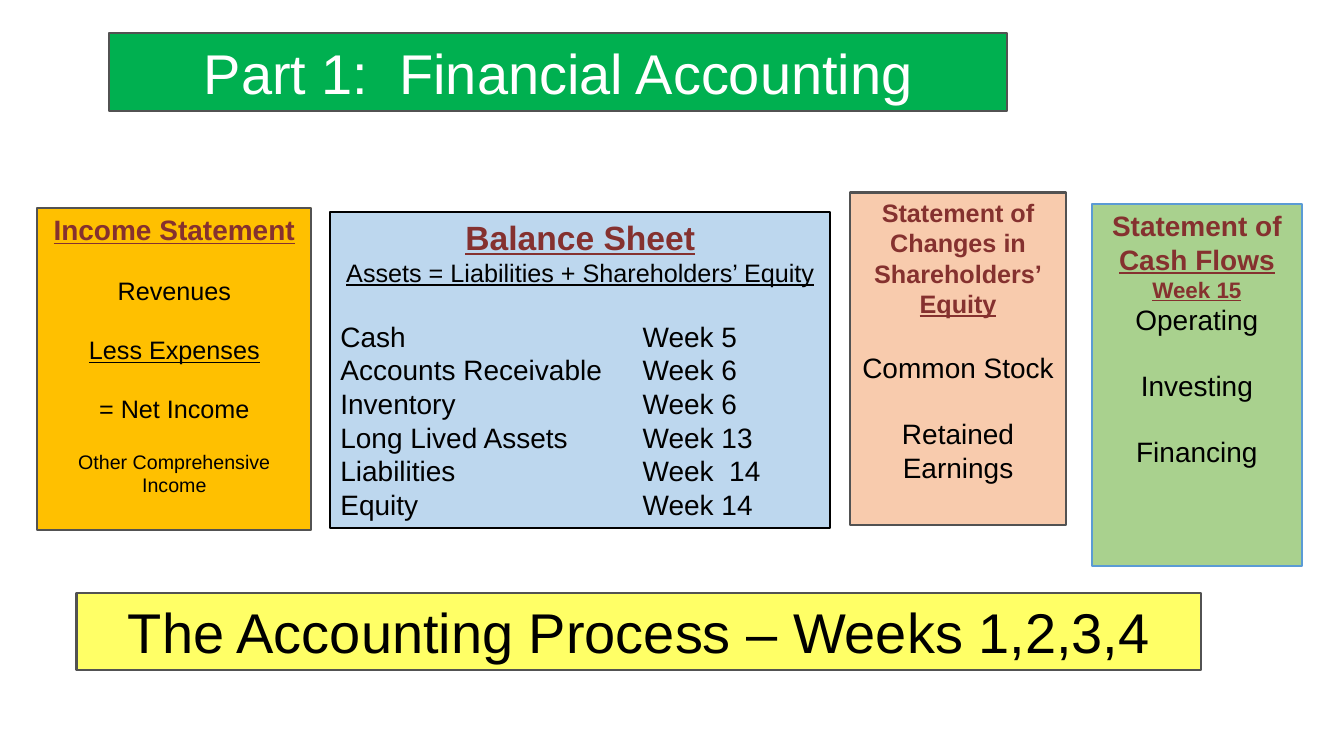
from dataclasses import dataclass

from lxml.etree import SubElement
from pptx import Presentation
from pptx.dml.color import RGBColor
from pptx.enum.shapes import MSO_SHAPE
from pptx.enum.text import MSO_ANCHOR, MSO_AUTO_SIZE, PP_ALIGN
from pptx.oxml.ns import qn
from pptx.util import Inches, Pt

BLACK, WHITE, GREY, MAROON = "000000", "FFFFFF", "525252", "85312F"
LINE = 1.15  # height of a text line, relative to its font size
WEEK_TAB = 3


@dataclass
class Line:
    text: str
    size: int
    color: str = BLACK
    bold: bool = False
    underline: bool = False
    gap: int = 0  # font size of the empty line above
    align: PP_ALIGN = PP_ALIGN.CENTER


@dataclass
class Box:
    left: float
    top: float
    width: float
    height: float
    fill: str
    lines: list[Line]
    border: str = GREY


def head(text: str, size: int, underline: bool = True) -> Line:
    return Line(text, size, MAROON, bold=True, underline=underline)


def rgb(color: str) -> RGBColor:
    return RGBColor.from_string(color)


def add_text(p, text: str, *, size: int, color: str, bold: bool, underline: bool) -> None:
    r = p.add_run()
    r.text = text
    font = r.font
    font.name, font.size = "Arial", Pt(size)
    font.bold, font.underline = bold, underline
    font.color.rgb = rgb(color)


def add_tab(p, position: float) -> None:
    tabs = SubElement(p._p.get_or_add_pPr(), qn("a:tabLst"))
    SubElement(tabs, qn("a:tab"), pos=str(Inches(position)), algn="l")


def draw_box(sp, box: Box) -> None:
    sp.left, sp.top = Inches(box.left), Inches(box.top)
    sp.width, sp.height = Inches(box.width), Inches(box.height)
    sp.fill.solid()
    sp.fill.fore_color.rgb = rgb(box.fill)
    sp.line.color.rgb = rgb(box.border)
    sp.line.width = Pt(1.5)

    tf = sp.text_frame
    tf.word_wrap = True
    tf.auto_size = MSO_AUTO_SIZE.NONE
    tf.vertical_anchor = MSO_ANCHOR.TOP
    for i, line in enumerate(box.lines):
        p = tf.add_paragraph() if i else tf.paragraphs[0]
        p.alignment = line.align
        if line.gap:
            p.space_before = Pt(round(line.gap * LINE, 1))
        if "\t" in line.text:
            add_tab(p, WEEK_TAB)
        add_text(p, line.text, size=line.size, color=line.color,
                 bold=line.bold, underline=line.underline)


TITLE = Box(1.08, 0.33, 8.92, 0.77, "00B050",
            [Line("Part 1:  Financial Accounting", 40, WHITE)])

ACCOUNTS = [
    ("Cash", "Week 5"),
    ("Accounts Receivable", "Week 6"),
    ("Inventory", "Week 6"),
    ("Long Lived Assets", "Week 13"),
    ("Liabilities", "Week  14"),
    ("Equity", "Week 14"),
]

BOXES = [
    Box(0.76, 5.88, 11.16, 0.77, "FFFF66",
        [Line("The Accounting Process – Weeks 1,2,3,4", 40)]),
    Box(0.37, 2.06, 2.72, 3.2, "FFC000", [
        head("Income Statement", 20),
        Line("Revenues", 18, gap=18),
        Line("Less Expenses", 18, underline=True, gap=18),
        Line("= Net Income", 18, gap=18),
        Line("Other Comprehensive Income", 14, gap=16),
    ]),
    Box(3.28, 2.1, 4.96, 3.14, "BDD7EE", [
        head("Balance Sheet", 24),
        Line("Assets = Liabilities + Shareholders’ Equity", 18, underline=True),
        *(Line(f"{account}\t{week}", 20, gap=0 if i else 20, align=PP_ALIGN.LEFT)
          for i, (account, week) in enumerate(ACCOUNTS)),
    ], border=BLACK),
    Box(8.44, 1.91, 2.14, 3.3, "F8CBAD", [
        head("Statement of", 18, underline=False),
        head("Changes in Shareholders’", 18, underline=False),
        head("Equity", 18),
        Line("Common Stock", 20, gap=20),
        Line("Retained", 20, gap=20),
        Line("Earnings", 20),
    ]),
    Box(10.84, 2.02, 2.08, 3.6, "A9D18E", [
        head("Statement of", 20, underline=False),
        head("Cash Flows", 20),
        head("Week 15", 16),
        Line("Operating", 20),
        Line("Investing", 20, gap=20),
        Line("Financing", 20, gap=20),
    ], border="5B9BD5"),
]


def main() -> None:
    prs = Presentation()
    prs.slide_width, prs.slide_height = Inches(13.34), Inches(7.5)
    s = prs.slides.add_slide(prs.slide_layouts[5])

    # Title banner
    draw_box(s.shapes.title, TITLE)

    # Statements and the process banner
    for box in BOXES:
        sp = s.shapes.add_shape(MSO_SHAPE.RECTANGLE, 0, 0, 0, 0)
        sp.shadow.inherit = False
        draw_box(sp, box)

    prs.save("out.pptx")


if __name__ == "__main__":
    main()
